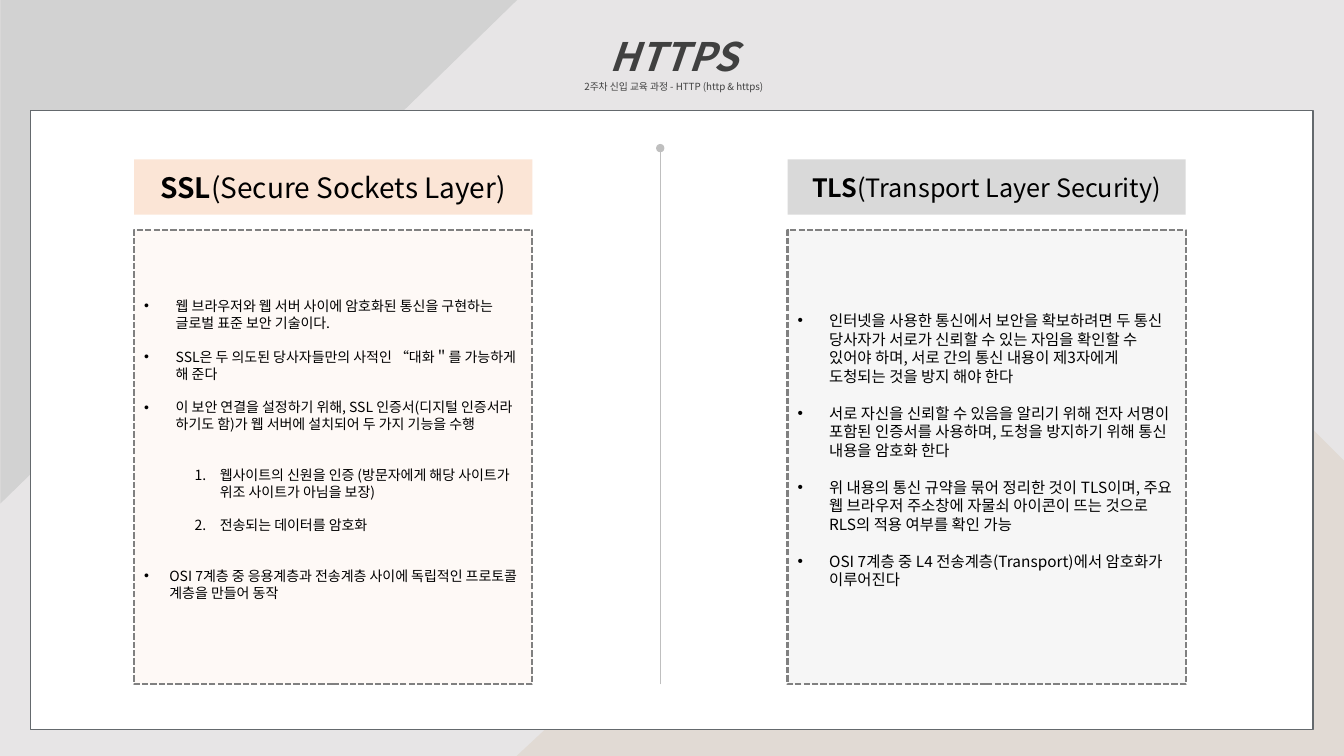
"""Build a slide that compares SSL and TLS in two columns."""
from lxml import etree
from pptx import Presentation
from pptx import util as u
from pptx.dml import color
from pptx.enum import dml, shapes, text
from pptx.oxml import ns

FONT = "Noto Sans CJK KR"
BACKGROUND = color.RGBColor(0xE7, 0xE5, 0xE6)
BEIGE = color.RGBColor(0xE1, 0xDA, 0xD4)
CORNER_GRAY = color.RGBColor(0xD2, 0xD2, 0xD2)
WHITE = color.RGBColor(0xFF, 0xFF, 0xFF)
BLACK = color.RGBColor(0x00, 0x00, 0x00)
FRAME = color.RGBColor(0x64, 0x69, 0x6D)
TITLE_GRAY = color.RGBColor(0x40, 0x40, 0x40)
PEACH = color.RGBColor(0xFB, 0xE5, 0xD6)
PALE_PEACH = color.RGBColor(0xFE, 0xF9, 0xF6)
SILVER = color.RGBColor(0xD9, 0xD9, 0xD9)
PALE_GRAY = color.RGBColor(0xF6, 0xF6, 0xF6)
DASH_GRAY = color.RGBColor(0x80, 0x80, 0x80)
DIVIDER = color.RGBColor(0xBF, 0xBF, 0xBF)

BULLET = ("buChar", {"char": "•"})
NUMBER = ("buAutoNum", {"type": "arabicPeriod"})
COLUMN_WIDTH = 284.4

SSL = {
    "left": 95.8, "name": "SSL", "meaning": "(Secure Sockets Layer)",
    "header_size": 20, "header_fill": PEACH, "panel_fill": PALE_PEACH,
    "size": 10, "pitch": 12.05, "inset": 11.7,
    "items": [
        (0, BULLET, 22.5, 22.5, "웹 브라우저와 웹 서버 사이에 암호화된 통신을 구현하는 글로벌 표준 보안 기술이다."),
        (1, BULLET, 22.5, 22.5, "SSL은 두 의도된 당사자들만의 사적인 “대화＂를 가능하게 해 준다"),
        (1, BULLET, 22.5, 22.5, "이 보안 연결을 설정하기 위해, SSL 인증서(디지털 인증서라 하기도 함)가 "
                                "웹 서버에 설치되어 두 가지 기능을 수행"),
        (2, NUMBER, 54, 18, "웹사이트의 신원을 인증 (방문자에게 해당 사이트가 위조 사이트가 아님을 보장)"),
        (1, NUMBER, 54, 18, "전송되는 데이터를 암호화"),
        (2, BULLET, 18, 18, "OSI 7계층 중 응용계층과 전송계층 사이에 독립적인 프로토콜 계층을 만들어 동작"),
    ],
}
TLS = {
    "left": 562.5, "name": "TLS", "meaning": "(Transport Layer Security)",
    "header_size": 18, "header_fill": SILVER, "panel_fill": PALE_GRAY,
    "size": 11, "pitch": 13.2, "inset": 21.4,
    "items": [
        (0, BULLET, 22.5, 22.5, "인터넷을 사용한 통신에서 보안을 확보하려면 두 통신 당사자가 서로가 신뢰할 수 있는 자임을 "
                                "확인할 수 있어야 하며, 서로 간의 통신 내용이 제3자에게 도청되는 것을 방지 해야 한다"),
        (1, BULLET, 22.5, 22.5, "서로 자신을 신뢰할 수 있음을 알리기 위해 전자 서명이 포함된 인증서를 사용하며, "
                                "도청을 방지하기 위해 통신 내용을 암호화 한다"),
        (1, BULLET, 22.5, 22.5, "위 내용의 통신 규약을 묶어 정리한 것이 TLS이며, 주요 웹 브라우저 주소창에 "
                                "자물쇠 아이콘이 뜨는 것으로 RLS의 적용 여부를 확인 가능"),
        (1, BULLET, 22.5, 22.5, "OSI 7계층 중 L4 전송계층(Transport)에서 암호화가 이루어진다"),
    ],
}


def apply_format(target, values):
    """Set every attribute named in values on the target."""
    for name, value in values.items():
        setattr(target, name, value)


def add_run(paragraph, words, size, ink=BLACK, **styles):
    """Add a run in the slide font."""
    run = paragraph.add_run()
    run.text = words
    apply_format(run.font, {"name": FONT, "size": u.Pt(size), **styles})
    run.font.color.rgb = ink
    etree.SubElement(run.font._element, ns.qn("a:ea"), typeface=FONT)


def paint(shape, fill, line=None, width=1, dash=None):
    """Give a shape a flat fill and an optional outline."""
    shape.shadow.inherit = False
    shape.fill.solid()
    shape.fill.fore_color.rgb = fill
    if line is None:
        shape.line.fill.background()
        return
    shape.line.color.rgb = line
    apply_format(shape.line, {"width": u.Pt(width), "dash_style": dash})


def add_block(slide, kind, box, fill, **outline):
    """Add a painted preset shape."""
    shape = slide.shapes.add_shape(kind, *map(u.Pt, box))
    paint(shape, fill, **outline)
    return shape


def place(placeholder, box, inset):
    """Move a placeholder to the front and into its box."""
    placeholder.element.getparent().append(placeholder.element)
    left, top, width, height = map(u.Pt, box)
    apply_format(placeholder, {"left": left, "top": top, "width": width, "height": height})
    frame = placeholder.text_frame
    apply_format(frame, {
        "word_wrap": True, "auto_size": text.MSO_AUTO_SIZE.NONE,
        "vertical_anchor": text.MSO_ANCHOR.TOP, "margin_top": u.Pt(inset),
        "margin_bottom": u.Pt(3.6), "margin_left": u.Pt(7.2), "margin_right": u.Pt(7.2)})
    return frame


def add_title(slide):
    """Fill the title placeholder with heading and course line."""
    frame = place(slide.shapes.title, (241.2, -0.7, 480.2, 69.1), 3.6)
    lines = [("HTTPS", 28, 54, True), ("2주차 신입 교육 과정 - HTTP (http & https)", 7, 9.4, False)]
    for index, (words, size, pitch, strong) in enumerate(lines):
        paragraph = frame.add_paragraph() if index else frame.paragraphs[0]
        apply_format(paragraph, {
            "alignment": text.PP_ALIGN.CENTER, "line_spacing": u.Pt(pitch), "space_before": u.Pt(0)})
        add_run(paragraph, words, size, TITLE_GRAY, bold=strong, italic=strong)


def add_list(placeholder, column):
    """Fill a body placeholder with the bullets of a column."""
    frame = place(placeholder, (column["left"], 200.9, COLUMN_WIDTH, 239), column["inset"])
    for index, (gap, (marker, attributes), margin, hanging, words) in enumerate(column["items"]):
        paragraph = frame.add_paragraph() if index else frame.paragraphs[0]
        apply_format(paragraph, {
            "alignment": text.PP_ALIGN.LEFT, "level": int(marker == "buAutoNum"),
            "line_spacing": u.Pt(column["pitch"]), "space_before": u.Pt(gap * column["pitch"])})
        properties = paragraph._p.get_or_add_pPr()
        properties.set("marL", str(u.Pt(margin)))
        properties.set("indent", str(-u.Pt(hanging)))
        etree.SubElement(properties, ns.qn("a:buFont"), typeface="Arial")
        etree.SubElement(properties, ns.qn(f"a:{marker}"), attributes)
        add_run(paragraph, words, column["size"])


def add_column(slide, placeholder, column):
    """Add header, dashed panel and list of one protocol."""
    rectangle = shapes.MSO_SHAPE.RECTANGLE
    header = add_block(slide, rectangle, (column["left"], 113.8, COLUMN_WIDTH, 39.6), column["header_fill"])
    header.text_frame.vertical_anchor = text.MSO_ANCHOR.MIDDLE
    paragraph = header.text_frame.paragraphs[0]
    paragraph.alignment = text.PP_ALIGN.CENTER
    add_run(paragraph, column["name"], column["header_size"], bold=True)
    add_run(paragraph, column["meaning"], column["header_size"], bold=False)
    add_block(slide, rectangle, (column["left"], 164.2, COLUMN_WIDTH, 324.7), column["panel_fill"],
              line=DASH_GRAY, width=1.5, dash=dml.MSO_LINE.SQUARE_DOT)
    add_list(placeholder, column)


def add_backdrop(slide):
    """Add background, corner shapes and the white card."""
    slide.background.fill.solid()
    slide.background.fill.fore_color.rgb = BACKGROUND
    builder = slide.shapes.build_freeform(752, 183, scale=float(u.Pt(1)))
    builder.add_line_segments([(814, 183), (960, 329), (960, 540), (369, 540)])
    paint(builder.convert_to_shape(), BEIGE)
    corner = add_block(slide, shapes.MSO_SHAPE.RIGHT_TRIANGLE, (5, -5, 360, 369.4), CORNER_GRAY)
    corner.rotation = 90
    add_block(slide, shapes.MSO_SHAPE.RECTANGLE, (22, 79, 916, 442), WHITE, line=FRAME)


def add_divider(slide):
    """Add the vertical line that ends in a dot."""
    ends = map(u.Pt, (471.6, 488.9, 471.6, 105.8))
    divider = slide.shapes.add_connector(shapes.MSO_CONNECTOR.STRAIGHT, *ends)
    divider.line.color.rgb = DIVIDER
    divider.line.width = u.Pt(0.5)
    etree.SubElement(divider.line._get_or_add_ln(), ns.qn("a:tailEnd"), type="oval")
    etree.SubElement(divider.element.spPr, ns.qn("a:effectLst"))


def main():
    """Build and save the slide."""
    presentation = Presentation()
    apply_format(presentation, {"slide_width": u.Pt(960), "slide_height": u.Pt(540)})
    slide = presentation.slides.add_slide(presentation.slide_layouts[3])
    add_backdrop(slide)
    add_title(slide)
    for index, column in enumerate((SSL, TLS), start=1):
        body = next(item for item in slide.placeholders if item.placeholder_format.idx == index)
        add_column(slide, body, column)
    add_divider(slide)
    presentation.save("out.pptx")


if __name__ == "__main__":
    main()
